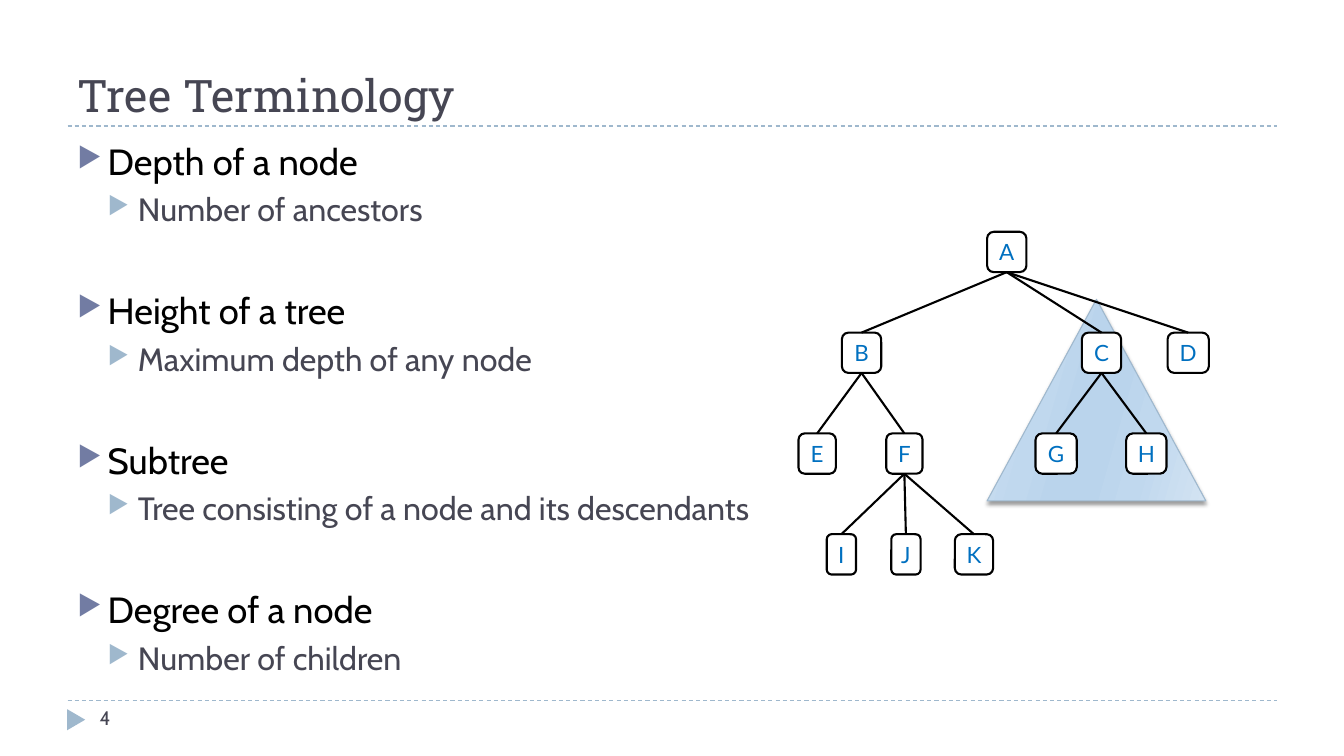
from lxml import etree
from pptx import Presentation
from pptx.dml.color import RGBColor
from pptx.enum.dml import MSO_LINE
from pptx.enum.shapes import MSO_CONNECTOR, MSO_SHAPE
from pptx.enum.text import MSO_ANCHOR, PP_ALIGN
from pptx.oxml.ns import qn
from pptx.util import Pt

PX = 9144
DASH = MSO_LINE.DASH
LINE = MSO_CONNECTOR.STRAIGHT
ROUND = MSO_SHAPE.ROUNDED_RECTANGLE
PEAK = MSO_SHAPE.ISOSCELES_TRIANGLE
MID, LOW = MSO_ANCHOR.MIDDLE, MSO_ANCHOR.BOTTOM
MID_H = PP_ALIGN.CENTER
BLACK, WHITE, GREY, SKY = "000000", "FFFFFF", "464653", "9FB8CD"


def color(code):
    return RGBColor.from_string(code)


def style(font, face, size, code):
    font.name = face
    font.size = Pt(size)
    font.color.rgb = color(code)


deck = Presentation()
deck.slide_width, deck.slide_height = 1333 * PX, 750 * PX
slide = deck.slides.add_slide(deck.slide_layouts[6])
shapes = slide.shapes

for y in (695, 125):
    rule = shapes.add_connector(LINE, 67 * PX, y * PX, 1267 * PX, y * PX)
    rule.line.color.rgb = color(SKY)
    rule.line.width = Pt(0.75)
    rule.line.dash_style = DASH
    etree.SubElement(rule._element.spPr, qn("a:effectLst"))

mark = shapes.add_shape(PEAK, 65 * PX, 705 * PX, 21 * PX, 18 * PX)
mark.rotation = 90
mark.shadow.inherit = False
mark.fill.solid()
mark.fill.fore_color.rgb = color(SKY)
mark.line.fill.background()

for text, x, y, w, h, face, size in (
    ("Tree Terminology", 67, 17, 1200, 108, "Roboto Slab", 32),
    ("4", 89, 695, 289, 40, "Cabin", 14),
):
    box = shapes.add_textbox(x * PX, y * PX, w * PX, h * PX)
    frame = box.text_frame
    frame.word_wrap = True
    frame.text = text
    style(frame.paragraphs[0].runs[0].font, face, size, GREY)
    if size == 32:
        frame.vertical_anchor = LOW

terms = (
    ("Depth of a node", "Number of ancestors"),
    ("Height of a tree", "Maximum depth of any node"),
    ("Subtree", "Tree consisting of a node and its descendants"),
    ("Degree of a node", "Number of children"),
)
body = shapes.add_textbox(67 * PX, 133 * PX, 1200 * PX, 540 * PX).text_frame
body.word_wrap = True
body.text = "\n".join(text for pair in terms for text in pair)
for i, para in enumerate(body.paragraphs):
    level = i % 2
    para.level = level
    para.space_before = Pt(5 if level else 43 if i else 0)
    props = para._p.get_or_add_pPr()
    props.set("marL", str(30 * (level + 1) * PX))
    props.set("indent", str(-30 * PX))
    tint = etree.SubElement(props, qn("a:buClr"))
    etree.SubElement(tint, qn("a:srgbClr"), val=SKY if level else "727CA3")
    etree.SubElement(props, qn("a:buSzPct"), val="76000")
    etree.SubElement(props, qn("a:buChar"), char="▶")
    style(para.runs[0].font, "Cabin", 23 if level else 26, GREY if level else BLACK)

sub = shapes.add_shape(PEAK, 979 * PX, 297 * PX, 217 * PX, 200 * PX)
sub.shadow.inherit = False
sub.line.color.rgb = color(SKY)
sub.line.width = Pt(0.75)
sub.fill.gradient()
sub.fill.gradient_angle = 344
stops = sub._element.spPr.find(qn("a:gradFill")).find(qn("a:gsLst"))
stops.clear()
for pos, code in (
    (0, "D3E3F2"), (30, "C0D8EE"), (45, "BAD4EC"),
    (55, "BAD4EC"), (73, "C0D8EE"), (100, "D3E3F2"),
):
    stop = etree.SubElement(stops, qn("a:gs"), pos=str(pos * 1000))
    etree.SubElement(stop, qn("a:srgbClr"), val=code)
fx = sub._element.spPr.find(qn("a:effectLst"))
shade = etree.SubElement(
    fx, qn("a:outerShdw"), blurRad=str(Pt(3)), dist=str(Pt(2)),
    dir="5400000", rotWithShape="0",
)
tint = etree.SubElement(shade, qn("a:srgbClr"), val=BLACK)
etree.SubElement(tint, qn("a:alpha"), val="40000")

rows = (
    (("A", 979, 39),),
    (("B", 835, 39), ("C", 1073, 39), ("D", 1158, 41)),
    (("E", 792, 37), ("F", 879, 36), ("G", 1027, 41), ("H", 1117, 40)),
    (("I", 820, 29), ("J", 884, 29), ("K", 947, 38)),
)
nodes = {}
for depth, row in enumerate(rows):
    for name, x, w in row:
        node = shapes.add_shape(ROUND, x * PX, (230 + 100 * depth) * PX, w * PX, 40 * PX)
        node.shadow.inherit = False
        node.fill.solid()
        node.fill.fore_color.rgb = color(WHITE)
        node.line.color.rgb = color(BLACK)
        node.line.width = Pt(1.5)
        frame = node.text_frame
        frame.word_wrap = False
        frame.vertical_anchor = MID
        frame.text = name
        frame.paragraphs[0].alignment = MID_H
        style(frame.paragraphs[0].runs[0].font, "Lato", 16, "0070C0")
        nodes[name] = node

for top, kids in (("A", "BCD"), ("B", "EF"), ("C", "GH"), ("F", "IJK")):
    for kid in kids:
        edge = shapes.add_connector(LINE, 0, 0, 0, 0)
        edge.begin_connect(nodes[top], 2)
        edge.end_connect(nodes[kid], 0)
        edge.line.color.rgb = color(BLACK)
        edge.line.width = Pt(1.5)
        etree.SubElement(edge._element.spPr, qn("a:effectLst"))

deck.save("out.pptx")
